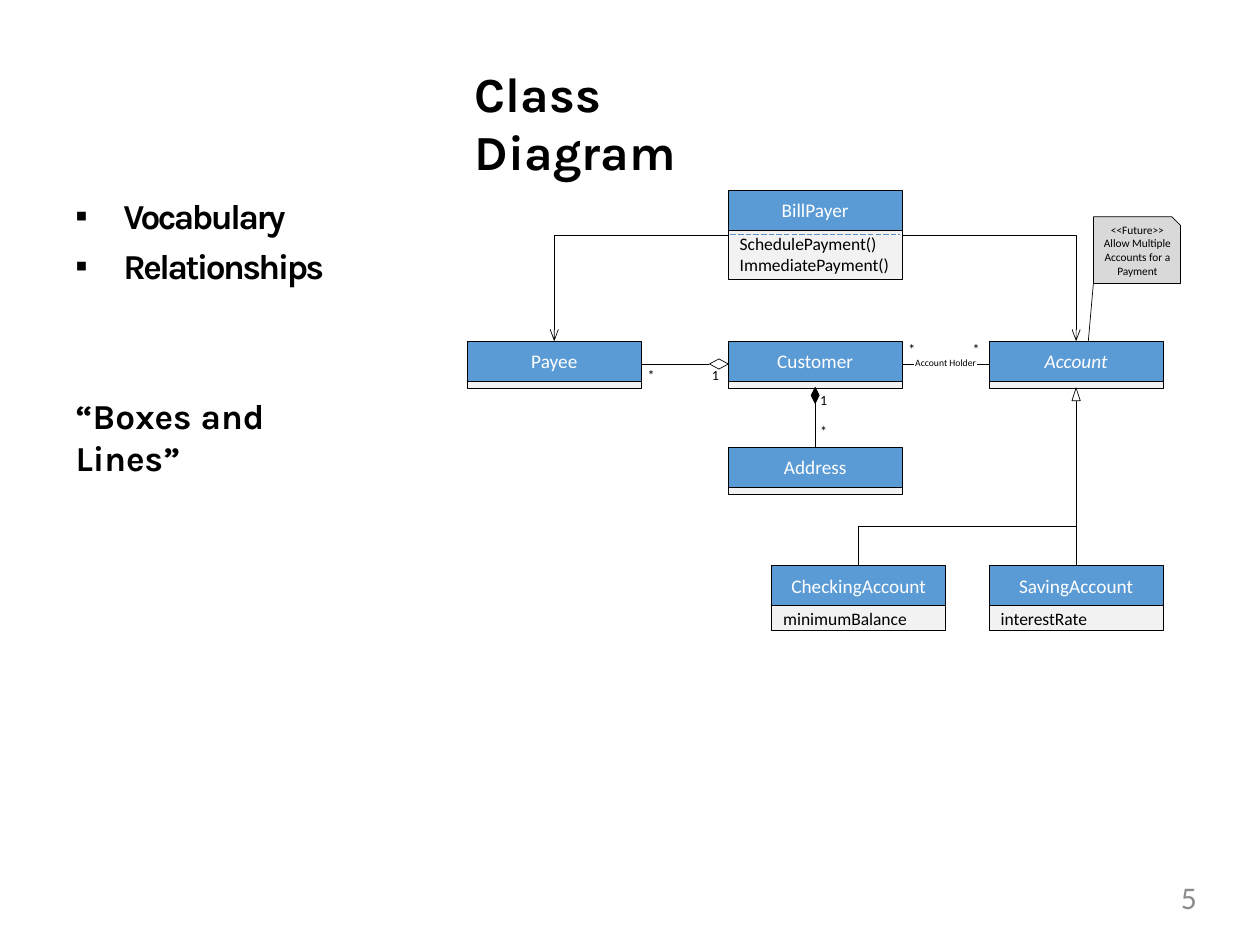
from pptx import Presentation
from pptx.dml.color import RGBColor
from pptx.enum.dml import MSO_LINE
from pptx.enum.shapes import MSO_CONNECTOR, MSO_SHAPE
from pptx.enum.text import MSO_ANCHOR, MSO_AUTO_SIZE, PP_ALIGN
from pptx.oxml.ns import qn
from pptx.util import Pt
from lxml import etree

LEFT, CENTER, RIGHT = PP_ALIGN.LEFT, PP_ALIGN.CENTER, PP_ALIGN.RIGHT
TOP, MIDDLE = MSO_ANCHOR.TOP, MSO_ANCHOR.MIDDLE
RECT, DIAMOND = MSO_SHAPE.RECTANGLE, MSO_SHAPE.DIAMOND
TRIANGLE, NOTE = MSO_SHAPE.ISOSCELES_TRIANGLE, MSO_SHAPE.SNIP_1_RECTANGLE
STRAIGHT, DASH = MSO_CONNECTOR.STRAIGHT, MSO_LINE.LONG_DASH
NO_FIT = MSO_AUTO_SIZE.NONE

# Content
TITLE = "Class Diagram"
TOPICS = ["Vocabulary", "Relationships"]
QUOTE = "“Boxes and Lines”"
NUMBER = "5"
FUTURE = ["<<Future>>", "Allow Multiple Accounts for a Payment"]
COL, STEP, WIDE, HEAD = 267.1, 149.1, 99.3, 22.7
ROWS = [108.7, 195, 255.6, 323.3]
# name, column, row, height of lower part, members
CLASSES = [
    ("BillPayer", 1, 0, 28, ["SchedulePayment()", "ImmediatePayment()"]),
    ("Payee", 0, 1, 4, []),
    ("Customer", 1, 1, 4, []),
    ("Account", 2, 1, 4, []),
    ("Address", 1, 2, 4, []),
    ("CheckingAccount", 7 / 6, 3, 14.5, ["minimumBalance"]),
    ("SavingAccount", 2, 3, 14.5, ["interestRate"]),
]
ABSTRACT = "Account"
# text, left, top, size name
LABELS = [
    ("1", 468.7, 223.9, "label"), ("*", 468.7, 241.2, "label"),
    ("1", 406.8, 209.5, "label"), ("*", 370.1, 209.5, "label"),
    ("*", 519.1, 194.4, "label"), ("*", 555.8, 194.4, "label"),
    ("Account Holder", 523, 203.8, "tiny"),
]

THEME = {
    "head": "Karla", "text": "Calibri",
    "black": "000000", "white": "FFFFFF", "blue": "5B9BD5", "dash": "5692C9",
    "pale": "F2F2F2", "note": "D9D9D9", "gray": "8C8C8C",
    "title": 28, "list": 20, "class": 11, "member": 10, "label": 8,
    "small": 6.5, "tiny": 5.5, "number": 18, "line": 0.4,
}

deck = Presentation()
deck.slide_width, deck.slide_height = Pt(720), Pt(540)
slide = deck.slides.add_slide(deck.slide_layouts[1])
shapes = slide.shapes


def color(name):
    return RGBColor.from_string(THEME[name])


def place(shape, x, y, w, h):
    shape.left, shape.top, shape.width, shape.height = map(Pt, (x, y, w, h))


def write(shape, lines, size, ink="black", font="text", align=LEFT,
          pad=(0, 0, 0, 0), anchor=TOP, bold=False, italic=False, wrap=True):
    frame = shape.text_frame
    frame.text = "\n".join(lines)
    frame.auto_size, frame.word_wrap = NO_FIT, wrap
    frame.vertical_anchor = anchor
    (frame.margin_left, frame.margin_top,
     frame.margin_right, frame.margin_bottom) = map(Pt, pad)
    for par in frame.paragraphs:
        par.alignment = align
        for run in par.runs:
            face = run.font
            face.name, face.size = THEME[font], Pt(THEME[size])
            face.bold, face.italic = bold, italic
            face.color.rgb = color(ink)
    return frame


def text(lines, x, y, w, h, size, **look):
    box = shapes.add_textbox(Pt(x), Pt(y), Pt(w), Pt(h))
    return write(box, lines, size, **look)


def ink_line(shape, name="black"):
    shape.line.color.rgb = color(name)
    shape.line.width = Pt(THEME["line"])


def block(kind, x, y, w, h, fill=None):
    shape = shapes.add_shape(kind, Pt(x), Pt(y), Pt(w), Pt(h))
    shape.shadow.inherit = False
    if fill:
        shape.fill.solid()
        shape.fill.fore_color.rgb = color(fill)
    else:
        shape.fill.background()
    ink_line(shape)
    return shape


def link(x1, y1, x2, y2, name="black"):
    line = shapes.add_connector(STRAIGHT, Pt(x1), Pt(y1), Pt(x2), Pt(y2))
    ink_line(line, name)
    etree.SubElement(line._element.spPr, qn("a:effectLst"))
    return line


def bend(points, arrow=False):
    first, *rest = [(Pt(x), Pt(y)) for x, y in points]
    build = shapes.build_freeform(*first, scale=1.0)
    build.add_line_segments(rest, close=False)
    line = build.convert_to_shape()
    line.shadow.inherit = False
    line.fill.background()
    ink_line(line)
    if arrow:
        etree.SubElement(line.line._get_or_add_ln(), qn("a:tailEnd"),
                         type="arrow", w="sm", len="med")


# Title, topic list, quote and slide number
title = shapes.title
place(title, 270.7, 35.3, 178.6, 35.3)
write(title, [TITLE], "title", font="head", bold=True, pad=(0.7, 0.7, 0, 0))
body = slide.placeholders[1]
place(body, 42.5, 105.1, 146.2, 59.8)
topics = write(body, TOPICS, "list", font="head", bold=True, pad=(0, 5.8, 0, 0))
for par, gap in zip(topics.paragraphs, (5.8, 4.8)):
    par.space_before = Pt(gap)
    props = par._p.get_or_add_pPr()
    props.set("marL", str(Pt(28)))
    props.set("indent", str(Pt(-27.4)))
    etree.SubElement(props, qn("a:buChar"), char="▪")
    for run in par.runs:
        run._r.get_or_add_rPr().set("spc", "-145")
text([QUOTE], 42.5, 224.6, 156.2, 26, "list", font="head", bold=True,
     pad=(0.7, 0.7, 0, 0))
text([NUMBER], 518.4, 501.8, 165.6, 27.4, "number", ink="gray", align=RIGHT)

# Class boxes
heads, feet = {}, {}
for name, col, row, tall, members in CLASSES:
    x, y = COL + col * STEP, ROWS[row]
    feet[name] = block(RECT, x, y + HEAD, WIDE, tall, "pale")
    if members:
        write(feet[name], members, "member", pad=(6.5, 0, 0, 0), anchor=MIDDLE)
    heads[name] = block(RECT, x, y, WIDE, HEAD, "blue")
    write(heads[name], [name], "class", ink="white", align=CENTER,
          anchor=MIDDLE, italic=name == ABSTRACT)

mids = [COL + i * STEP + WIDE / 2 for i in range(3)]
lefts = [mid - WIDE / 2 for mid in mids]
rights = [mid + WIDE / 2 for mid in mids]
base = ROWS[1] + HEAD + 4
level = 208

# Payment arrows
link(lefts[1] + 1.2, 133.9, rights[1] - 1.2, 133.9, "dash").line.dash_style = DASH
for start, mid in ((lefts[1], mids[0]), (rights[1], mids[2])):
    bend([(start, 134.6), (mid, 134.6), (mid, ROWS[1])], arrow=True)

# Customer links
owns = link(mids[1], base, mids[1], ROWS[2])
owns.begin_connect(feet["Customer"], 2)
owns.end_connect(heads["Address"], 0)
block(DIAMOND, mids[1] - 2.3, base - 0.4, 4.6, 9.2, "black")
link(lefts[1] - 10.8, level, rights[0], level)
block(DIAMOND, lefts[1] - 10.8, level - 2.9, 10.8, 5.8)
link(rights[1], level, rights[1] + 6.7, level)
link(lefts[2] - 6.9, level, lefts[2], level)

# Inheritance
fork = mids[0] + STEP * 7 / 6
bend([(fork, ROWS[3]), (fork, 301), (mids[2], 301)])
link(mids[2], ROWS[3], mids[2], base + 7.3).begin_connect(heads["SavingAccount"], 0)
block(TRIANGLE, mids[2] - 2.4, base, 4.8, 7.3)

# Note and its leader
link(624.8, 162, 621.9, ROWS[1])
note = block(NOTE, 624.8, 123.9, 49.8, 38.1, "note")
note.adjustments[0] = 0.13
write(note, FUTURE, "small", align=CENTER, anchor=MIDDLE, pad=(4.5, 0, 1.5, 2.5))

# Multiplicities and role
for words, x, y, size in LABELS:
    text([words], x, y, 36.7 if size == "tiny" else 5.8, 10, size, wrap=False)

deck.save("out.pptx")
